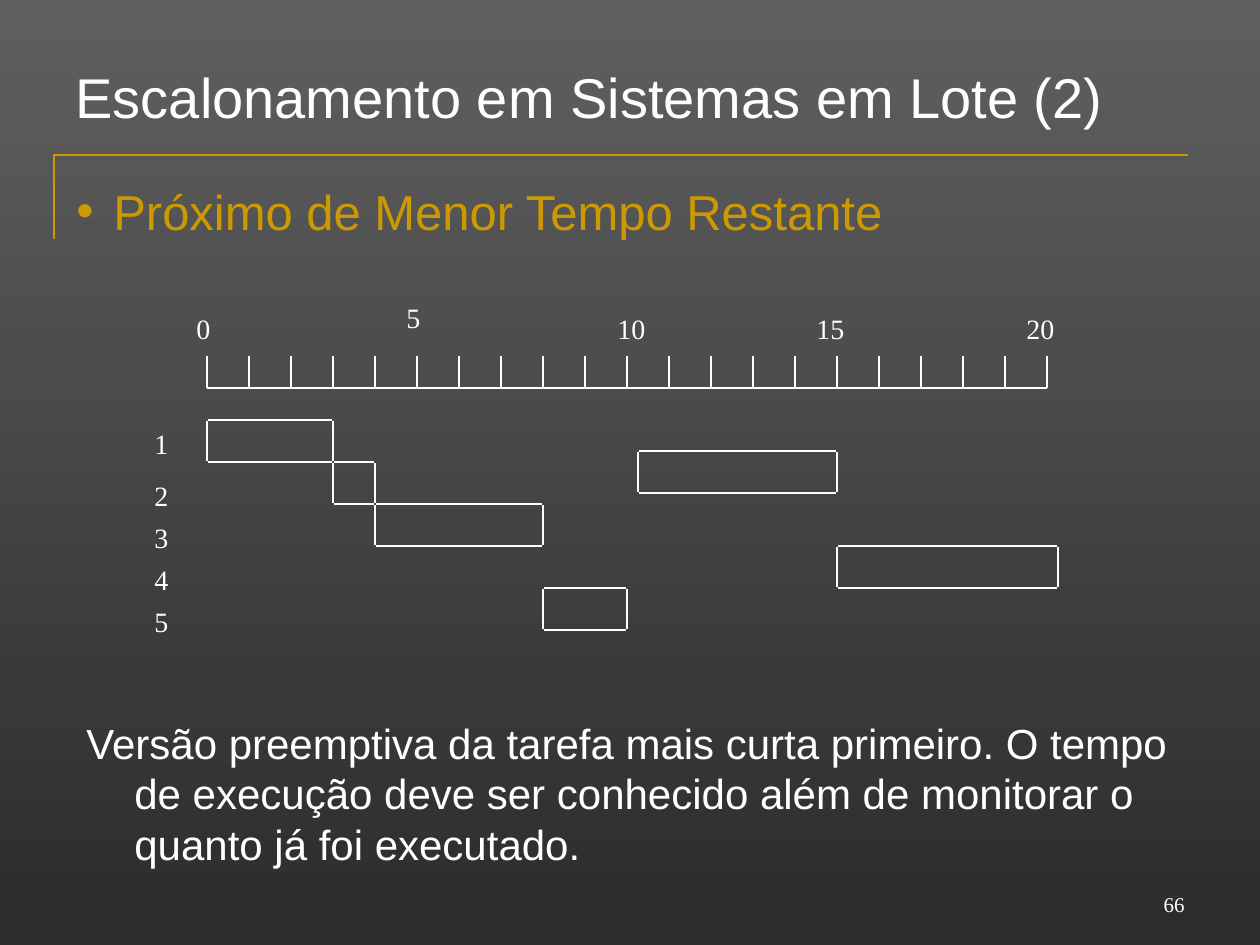
"""Builds a slide on shortest-remaining-time scheduling with its time chart."""
import lxml.etree
import pptx
import pptx.dml.color
import pptx.enum.shapes
import pptx.enum.text
import pptx.oxml.ns
import pptx.util

TITLE = "Escalonamento em Sistemas em Lote (2)"
SUBTITLE = "Próximo de Menor Tempo Restante"
EXPLANATION = (
    "Versão preemptiva da tarefa mais curta primeiro. O tempo de execução deve "
    "ser conhecido além de monitorar o quanto já foi executado."
)
SLIDE_NUMBER = "66"
TIME_LABELS = [("0", 184, 305), ("5", 394, 294), ("10", 605, 305),
               ("15", 804, 305), ("20", 1014, 305)]
TASK_LABELS = [("1", 420), ("2", 472), ("3", 514), ("4", 556), ("5", 598)]
BARS = [(207, 420, 333), (333, 462, 375), (375, 504, 543),
        (543, 588, 627), (638, 451, 837), (837, 546, 1058)]

PX = 914400 // 126
AXIS_LEFT, AXIS_Y, TICK_TOP = 207, 388, 356
UNIT, UNITS = 42, 20
BAR_HEIGHT = 42
TASK_LEFT = 142
FRAME = [(54, 239), (54, 155), (1188, 155)]

WHITE = pptx.dml.color.RGBColor(0xFF, 0xFF, 0xFF)
TITLE_WHITE = pptx.dml.color.RGBColor(0xFB, 0xFF, 0xFD)
GOLD = pptx.dml.color.RGBColor(0xCC, 0x99, 0x00)
GRAY_TOP = pptx.dml.color.RGBColor(0x5F, 0x5F, 0x5F)
GRAY_BOTTOM = pptx.dml.color.RGBColor(0x2C, 0x2C, 0x2C)

ALIGN = pptx.enum.text.PP_ALIGN
ANCHOR = pptx.enum.text.MSO_ANCHOR
AUTO_SIZE = pptx.enum.text.MSO_AUTO_SIZE


def add_text(slide, text, box, size=16, font="Times New Roman", color=WHITE,
             align=ALIGN.LEFT, anchor=ANCHOR.TOP, wrap=False, hanging=0,
             bullet=None, spacing=None, holder=None):
    left, top, width, height = (value * PX for value in box)
    holder = holder or slide.shapes.add_textbox(left, top, width, height)
    holder.left, holder.top, holder.width, holder.height = left, top, width, height
    frame = holder.text_frame
    frame.word_wrap = wrap
    frame.auto_size = AUTO_SIZE.NONE if wrap else AUTO_SIZE.SHAPE_TO_FIT_TEXT
    frame.vertical_anchor = anchor
    paragraph = frame.paragraphs[0]
    paragraph.text = text
    properties = paragraph._p.get_or_add_pPr()
    if hanging:
        properties.set("marL", str(hanging * PX))
        properties.set("indent", str(-hanging * PX))
    if bullet:
        qn = pptx.oxml.ns.qn
        tint = lxml.etree.SubElement(properties, qn("a:buClr"))
        lxml.etree.SubElement(tint, qn("a:srgbClr"), val=str(color))
        lxml.etree.SubElement(properties, qn("a:buFont"), typeface=font)
        lxml.etree.SubElement(properties, qn("a:buChar"), char=bullet)
    paragraph.alignment = align
    if spacing:
        paragraph.line_spacing = spacing
    run_font = paragraph.runs[0].font
    run_font.size = pptx.util.Pt(size)
    run_font.name = font
    run_font.color.rgb = color


def add_line(slide, x1, y1, x2, y2):
    line = slide.shapes.add_connector(
        pptx.enum.shapes.MSO_CONNECTOR.STRAIGHT, x1 * PX, y1 * PX, x2 * PX, y2 * PX)
    line.line.color.rgb = WHITE
    line.line.width = pptx.util.Pt(1)
    lxml.etree.SubElement(line._element.spPr, pptx.oxml.ns.qn("a:effectLst"))


def add_bar(slide, left, top, right):
    bottom = top + BAR_HEIGHT
    for x in (left, right):
        add_line(slide, x, top + 1, x, bottom - 1)
    for y in (top, bottom):
        add_line(slide, left + 1, y, right - 1, y)


def add_frame(slide):
    builder = slide.shapes.build_freeform(*FRAME[0], scale=PX)
    builder.add_line_segments(FRAME[1:], close=False)
    frame = builder.convert_to_shape()
    frame.shadow.inherit = False
    frame.fill.background()
    frame.line.color.rgb = GOLD
    frame.line.width = pptx.util.Pt(1.5)


def paint_background(slide):
    fill = slide.background.fill
    fill.gradient()
    fill.gradient_angle = 270
    for stop, color in zip(fill.gradient_stops, (GRAY_TOP, GRAY_BOTTOM)):
        stop.color.rgb = color


def main():
    deck = pptx.Presentation()
    deck.slide_width, deck.slide_height = 1260 * PX, 945 * PX
    slide = deck.slides.add_slide(deck.slide_layouts.get_by_name("Title Only"))
    paint_background(slide)

    add_text(slide, TITLE, (63, 56, 1134, 81), size=32, font="Arial",
             color=TITLE_WHITE, wrap=True, holder=slide.shapes.title)
    add_text(slide, SUBTITLE, (64, 175, 1134, 97), size=28, font="Arial",
             color=GOLD, wrap=True, hanging=37, bullet="•")
    add_text(slide, EXPLANATION, (74, 711, 1134, 198), size=24, font="Arial",
             wrap=True, hanging=48, spacing=1.0)

    add_line(slide, AXIS_LEFT, AXIS_Y, AXIS_LEFT + UNITS * UNIT, AXIS_Y)
    for unit in range(UNITS + 1):
        x = AXIS_LEFT + unit * UNIT
        add_line(slide, x, AXIS_Y, x, TICK_TOP)
    for label, left, top in TIME_LABELS:
        add_text(slide, label, (left, top, 25 + 14 * len(label), 45))
    for label, top in TASK_LABELS:
        add_text(slide, label, (TASK_LEFT, top, 39, 45))
    for bar in BARS:
        add_bar(slide, *bar)

    add_frame(slide)
    add_text(slide, SLIDE_NUMBER, (903, 860, 294, 63), size=12,
             align=ALIGN.RIGHT, anchor=ANCHOR.BOTTOM, wrap=True)
    deck.save("out.pptx")


if __name__ == "__main__":
    main()
